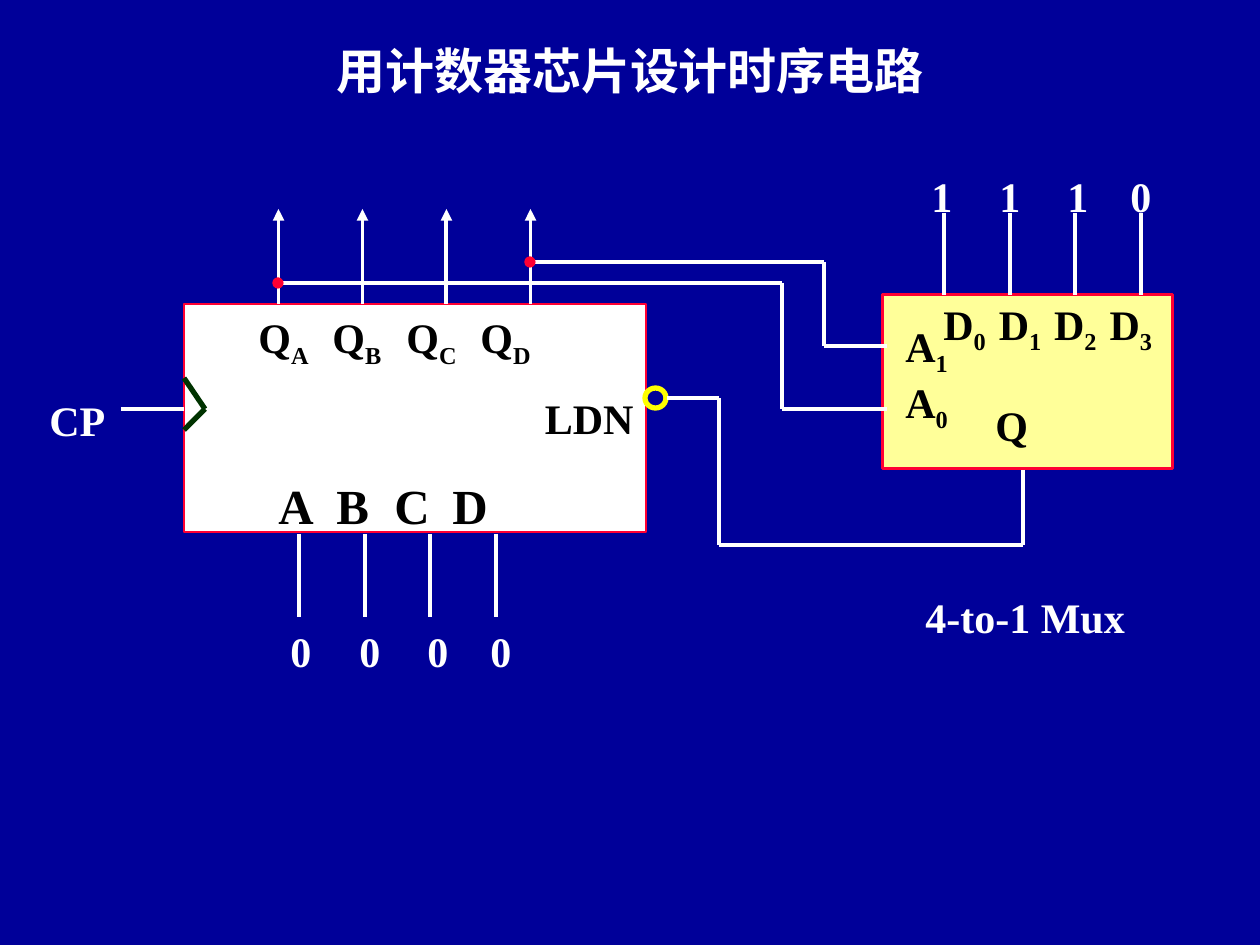
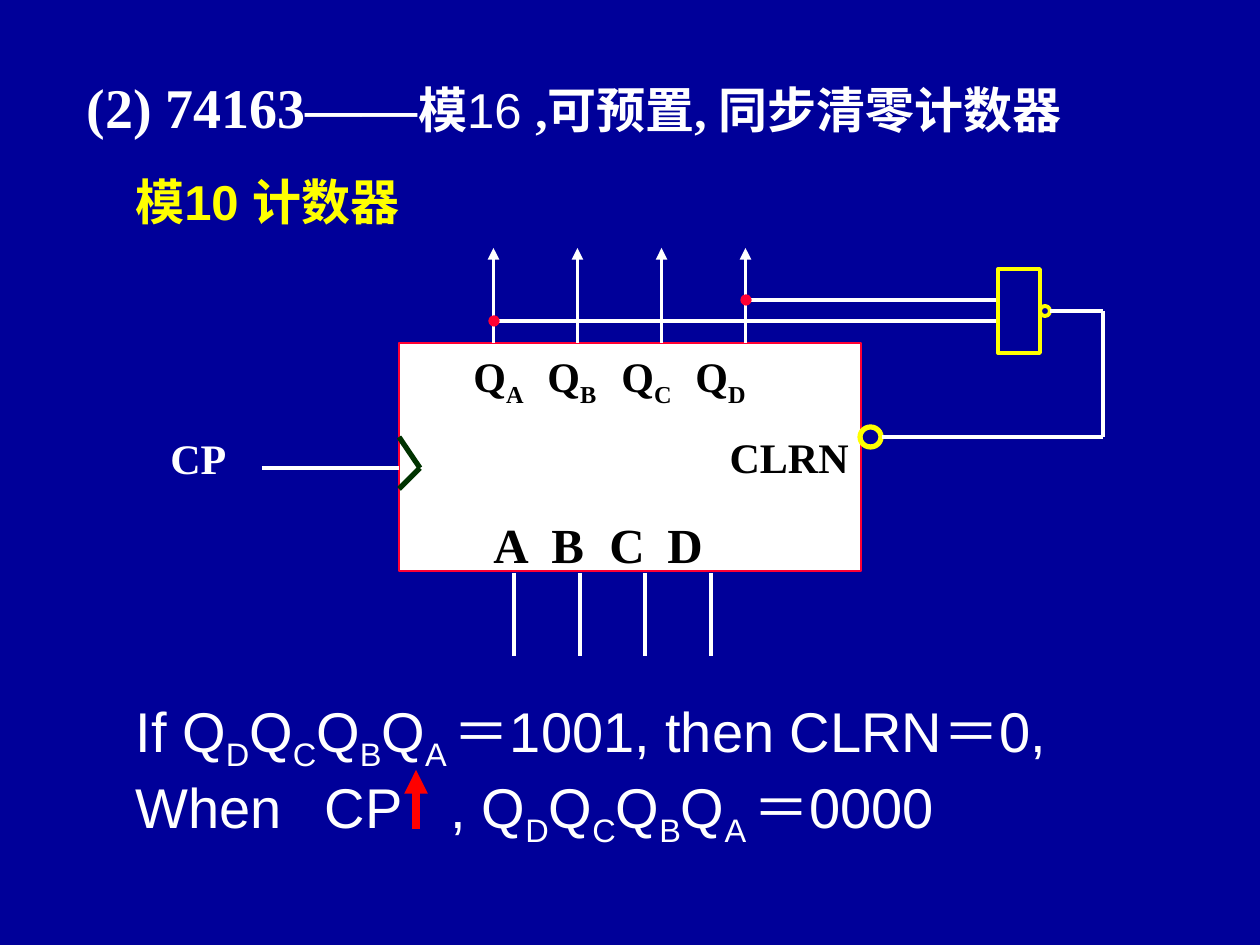
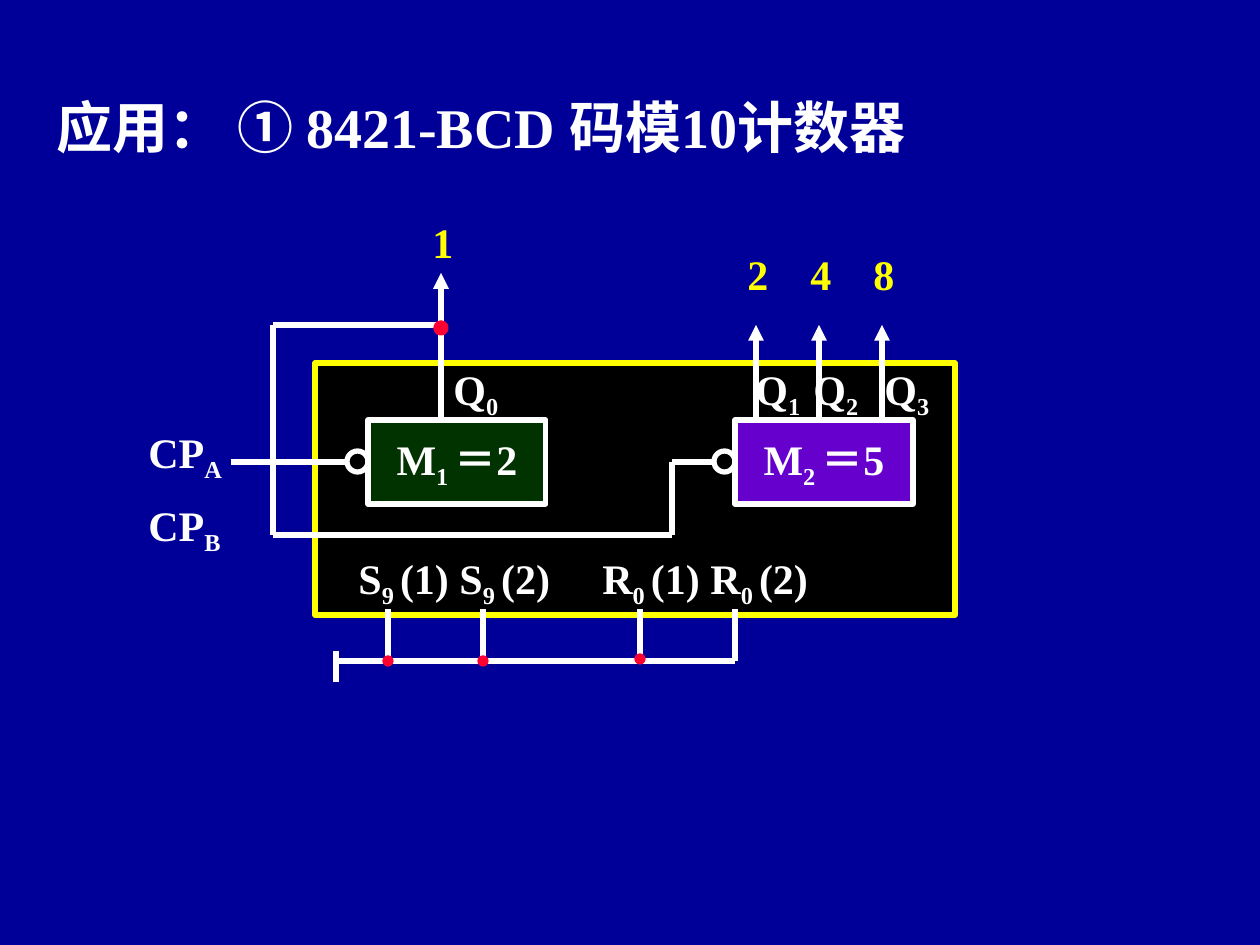
from itertools import pairwise

from lxml import etree
from pptx import Presentation, util as u
from pptx.dml.color import RGBColor
from pptx.enum import shapes, text
from pptx.oxml import ns

SCALE = u.Inches(1) / 126
SERIF, SANS = "Times New Roman", "Arial"
NAVY, WHITE, BLACK, YELLOW = "000099", "FFFFFF", "000000", "FFFF00"
RED, GREEN, PURPLE, CREAM, ARROW_RED = "FF0033", "003300", "6600CC", "FFFF99", "FF0000"
TITLE_AND_BODY, TITLE_ONLY = 1, 5
RECT, OVAL = shapes.MSO_SHAPE.RECTANGLE, shapes.MSO_SHAPE.OVAL
LEFT, CENTER, RIGHT = (text.PP_ALIGN.LEFT, text.PP_ALIGN.CENTER, text.PP_ALIGN.RIGHT)


def px(*lengths):
    return [round(length * SCALE) for length in lengths]


def rgb(color):
    return RGBColor.from_string(color)


# Text
def add_run(paragraph, words, font=SERIF, size=24, color=WHITE, bold=True, sub=False):
    run = paragraph.add_run()
    run.text = words
    run.font.name, run.font.size, run.font.bold = font, u.Pt(size), bold
    run.font.color.rgb = rgb(color)
    if sub:
        run._r.get_or_add_rPr().set("baseline", "-25000")


def add_runs(paragraph, pieces, **style):
    """Every second piece is a subscript."""
    for index, piece in enumerate(pieces):
        add_run(paragraph, piece, sub=index % 2 == 1, **style)


def set_tabs(paragraph, stops):
    tab_list = etree.SubElement(paragraph._p.get_or_add_pPr(), ns.qn("a:tabLst"))
    for position in px(*stops):
        etree.SubElement(tab_list, ns.qn("a:tab"), pos=str(position), algn="l")


def set_frame(shape, anchor=text.MSO_ANCHOR.TOP, wrap=True):
    frame = shape.text_frame
    frame.auto_size = text.MSO_AUTO_SIZE.NONE
    frame.word_wrap, frame.vertical_anchor = wrap, anchor
    return frame


def add_label(slide, left, top, width, *pieces, tabs=(), **style):
    box = slide.shapes.add_textbox(*px(left, top, width, 63))
    paragraph = set_frame(box).paragraphs[0]
    if tabs:
        set_tabs(paragraph, tabs)
    add_runs(paragraph, pieces, **style)


def use_placeholder(placeholder, left, top, width, height, align=LEFT):
    placeholder.left, placeholder.top, placeholder.width, placeholder.height = px(
        left, top, width, height)
    paragraph = set_frame(placeholder).paragraphs[0]
    paragraph.alignment, paragraph.space_before = align, u.Pt(0)
    return paragraph


# Shapes and wires
def add_shape(slide, kind, left, top, width, height, line, weight, fill=None):
    shape = slide.shapes.add_shape(kind, *px(left, top, width, height))
    shape.shadow.inherit = False
    if fill:
        shape.fill.solid()
        shape.fill.fore_color.rgb = rgb(fill)
    else:
        shape.fill.background()
    shape.line.color.rgb, shape.line.width = rgb(line), u.Pt(weight)
    return shape


def add_dot(slide, x, y, weight=0.75):
    add_shape(slide, OVAL, x - 5, y - 5, 10, 10, RED, weight, RED)


def add_wire(slide, *points, color=WHITE, weight=2.25, arrow=False):
    for start, end in pairwise(points):
        wire = slide.shapes.add_connector(
            shapes.MSO_CONNECTOR.STRAIGHT, *px(*start, *end))
        wire.line.color.rgb, wire.line.width = rgb(color), u.Pt(weight)
        if arrow:
            etree.SubElement(wire.line._get_or_add_ln(), ns.qn("a:tailEnd"), type="triangle")
        etree.SubElement(wire._element.spPr, ns.qn("a:effectLst"))


def add_counter(slide, left, top, control, clock, cp_left, cp_top, wire_left, weight):
    """Counter chip with outputs, inputs, clock and an inverted control pin."""
    chip = add_shape(slide, RECT, left, top, 462, 228, RED, weight, WHITE)
    frame = set_frame(chip)
    frame.margin_top, frame.margin_bottom = px(8, 0)
    rows = [
        (["\tQ", "A", "\tQ", "B", "\tQ", "C", "\tQ", "D"], 24, 0, LEFT,
         [62 + 74 * i for i in range(4)]),
        ([control], 24, 13, RIGHT, []),
        (["\tA\tB\tC\tD"], 28, 19, LEFT, [82 + 58 * i for i in range(4)]),
    ]
    for index, (pieces, size, space, align, tabs) in enumerate(rows):
        paragraph = frame.add_paragraph() if index else frame.paragraphs[0]
        paragraph.alignment, paragraph.space_before = align, u.Pt(space)
        if tabs:
            set_tabs(paragraph, tabs)
        add_runs(paragraph, pieces, size=size, color=BLACK)
    add_shape(slide, OVAL, left + 461, top + 84, 21, 20, YELLOW, 3)
    for i in range(4):
        output, data = left + 94.5 + 84 * i, left + 115 + 65.7 * i
        add_wire(slide, (output, top), (output, top - 95), arrow=True)
        add_wire(slide, (data, top + 230), (data, top + 313))
    add_wire(slide, (left, clock - 31), (left + 21, clock), (left, clock + 21),
             color=GREEN, weight=3)
    add_wire(slide, (wire_left, clock), (left, clock))
    add_label(slide, cp_left, cp_top, 100, "CP")


# Slides
def build_sequence_slide(slide):
    title = use_placeholder(slide.shapes.title, 0, 34, 1260, 72, CENTER)
    add_run(title, "用计数器芯片设计时序电路", SANS, 28)
    add_counter(slide, 184, 304, "LDN", 409, 37, 388, 121, 0.75)

    # Multiplexer
    add_shape(slide, RECT, 883, 295, 290, 174, RED, 1.75, CREAM)
    for i, digit in enumerate("1110"):
        x = 944 + 65.7 * i
        add_wire(slide, (x, 213), (x, 295))
        add_label(slide, 931 + 55.4 * i, 292, 90, "D", str(i), color=BLACK)
    for left, one in zip((919, 987, 1055, 1118), "1110"):
        add_label(slide, left, 164, 90, one)
    for left in (278, 347, 415, 478):
        add_label(slide, left, 619, 90, "0")
    add_label(slide, 893, 314, 90, "A", "1", color=BLACK)
    add_label(slide, 893, 370, 90, "A", "0", color=BLACK)
    add_label(slide, 983, 393, 90, "Q", color=BLACK)
    add_label(slide, 913, 585, 242, "4-to-1 Mux")

    # Feedback wires
    add_wire(slide, (530, 262), (824, 262), (824, 346), (887, 346))
    add_wire(slide, (278, 283), (782, 283), (782, 409), (887, 409))
    add_wire(slide, (1023, 470), (1023, 545), (719, 545), (719, 398), (667, 398))
    add_dot(slide, 278, 283)
    add_dot(slide, 530, 262)


def build_modulo_slide(slide):
    title = use_placeholder(slide.shapes.title, 74, 66, 1071, 81)
    add_run(title, "(2) 74163——", size=32)
    add_run(title, "模", size=28)
    add_run(title, "16 ", SANS, 28, bold=False)
    add_run(title, ",可预置, 同步清零计数器", size=28)
    add_label(slide, 123, 165, 766, "模10 计数器", font=SANS, size=28, color=YELLOW)

    # Explanation
    body = use_placeholder(slide.placeholders[1], 123, 690, 998, 148)
    properties = body._p.get_or_add_pPr()
    properties.set("marL", "0")
    properties.set("indent", "0")
    etree.SubElement(properties, ns.qn("a:buNone"))
    set_tabs(body, [178, 301])
    state = ["D", "Q", "C", "Q", "B", "Q", "A "]
    add_runs(body, ["If Q", *state, "＝1001, then CLRN＝0, When\tCP\t, Q", *state, "＝0000"],
             font=SANS, size=32, bold=False)

    # Circuit
    add_counter(slide, 399, 343, "CLRN", 468, 158, 426, 262, 1)
    add_wire(slide, (746, 300), (997, 300))
    add_wire(slide, (494, 321), (997, 321))
    add_dot(slide, 494, 321)
    add_dot(slide, 746, 300)
    add_shape(slide, RECT, 998, 269, 42, 84, YELLOW, 2.25)
    add_shape(slide, OVAL, 1040, 306, 10, 10, YELLOW, 2.25)
    add_wire(slide, (1050, 311), (1103, 311), (1103, 437), (882, 437))
    add_wire(slide, (416, 829), (416, 770), color=ARROW_RED, weight=4.5, arrow=True)


def build_bcd_slide(slide):
    title = use_placeholder(slide.shapes.title, 44, 86, 1191, 81)
    add_run(title, "应用： ① 8421-BCD 码模10计数器", size=32)
    add_shape(slide, RECT, 315, 363, 640, 252, YELLOW, 3, BLACK)

    # Two counting stages
    for left, fill, index, modulus in ((368, GREEN, "1 ", "＝2"), (735, PURPLE, "2 ", "＝5")):
        stage = add_shape(slide, RECT, left, 420, 178, 84, WHITE, 3, fill)
        paragraph = set_frame(stage, text.MSO_ANCHOR.MIDDLE, False).paragraphs[0]
        paragraph.alignment = CENTER
        add_runs(paragraph, ["M", index, modulus])
        add_shape(slide, OVAL, left - 21, 451, 21, 21, WHITE, 3)

    # Outputs with their weights
    for x, tip, weight in ((441, 273, "1"), (756, 325, "2"), (819, 325, "4"), (882, 325, "8")):
        add_wire(slide, (x, 420), (x, tip), weight=3, arrow=True)
        label_top = 210 if weight == "1" else 242
        add_label(slide, x - 21, label_top, 63, weight, color=YELLOW)
    add_label(slide, 441, 357, 536, "Q", "0", "\tQ", "1", "\tQ", "2", "\tQ", "3",
              tabs=[302, 360, 431])

    # Clocks and the link between the stages
    add_label(slide, 136, 420, 126, "CP", "A")
    add_label(slide, 136, 493, 126, "CP", "B")
    add_wire(slide, (231, 462), (347, 462), weight=3)
    add_wire(slide, (714, 462), (672, 462), (672, 535), (273, 535), (273, 325),
             (441, 325), weight=3)
    add_dot(slide, 441, 328, 3)

    # Set and reset pins tied to ground
    add_label(slide, 346, 546, 536, "S", "9 ", "(1) S", "9 ", "(2)\tR", "0 ",
              "(1) R", "0 ", "(2)", tabs=[244])
    add_wire(slide, (735, 661), (336, 661), weight=3)
    add_wire(slide, (336, 651), (336, 682), weight=3)
    for x in (388, 483, 640, 735):
        add_wire(slide, (x, 609), (x, 661), weight=3)
    for x, y in ((388, 661), (483, 661), (640, 659)):
        add_dot(slide, x, y)


def main():
    presentation = Presentation()
    presentation.slide_width, presentation.slide_height = px(1260, 945)
    background = presentation.slide_master.background.fill
    background.solid()
    background.fore_color.rgb = rgb(NAVY)
    for layout, build in ((TITLE_ONLY, build_sequence_slide),
                          (TITLE_AND_BODY, build_modulo_slide),
                          (TITLE_ONLY, build_bcd_slide)):
        build(presentation.slides.add_slide(presentation.slide_layouts[layout]))
    presentation.save("out.pptx")


if __name__ == "__main__":
    main()
